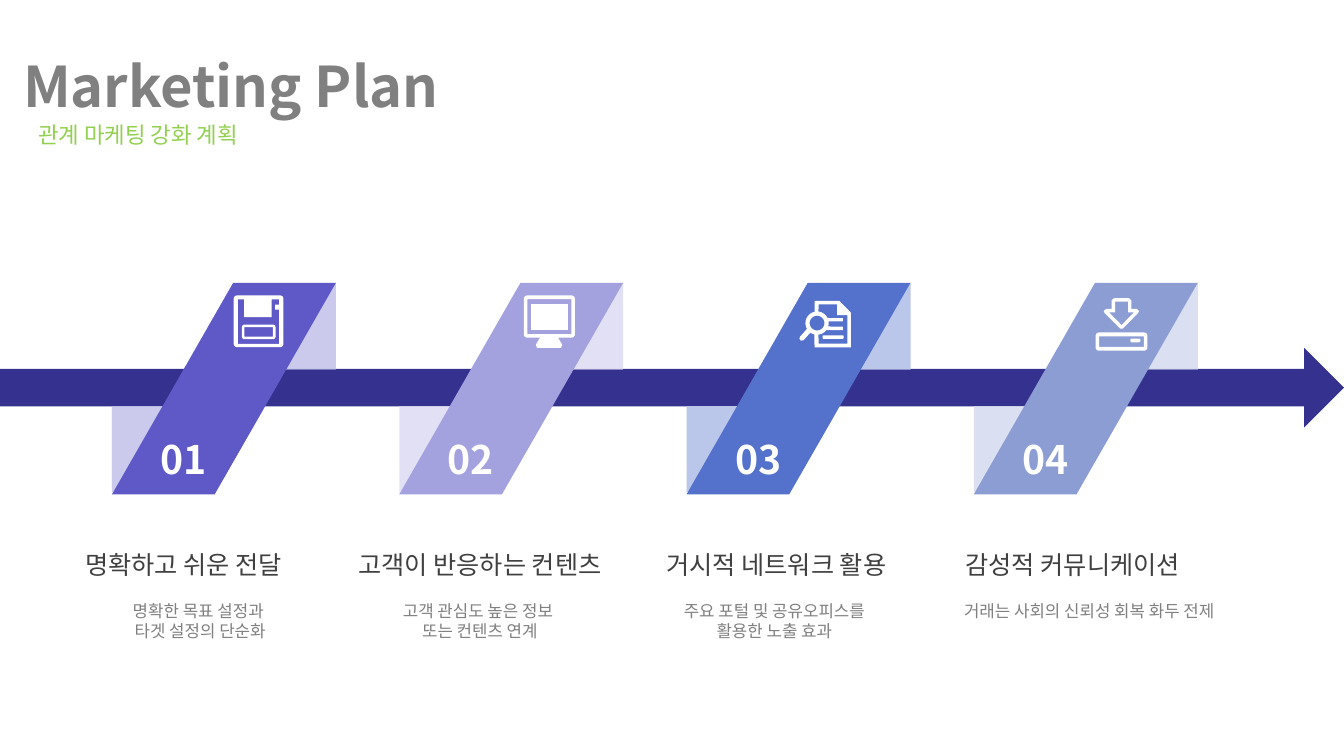
import dataclasses
import math

import lxml.etree
import pptx
import pptx.dml.color
import pptx.enum.shapes
import pptx.enum.text
import pptx.oxml.ns
import pptx.util

Pt = pptx.util.Pt
qn = pptx.oxml.ns.qn
SHAPES = pptx.enum.shapes.MSO_SHAPE


@dataclasses.dataclass(frozen=True)
class Theme:
    font: str = "Noto Sans CJK KR"
    arrow: str = "35318F"
    white: str = "FFFFFF"
    grey: str = "808080"
    dark: str = "404040"
    green: str = "92D050"
    title_size: int = 40
    number_size: int = 28
    heading_size: int = 18
    subtitle_size: int = 16
    body_size: int = 12


THEME = Theme()


@dataclasses.dataclass(frozen=True)
class Box:
    left: float
    top: float
    width: float
    height: float


@dataclasses.dataclass(frozen=True)
class Step:
    number: str
    heading: str
    body: tuple
    body_width: float
    ribbon: str
    fold: str
    fold_opacity: int
    icon: list
    icon_left: float
    icon_top: float


def arc(x, y, radius, start, end, count=8):
    angles = [math.radians(start + (end - start) * i / count) for i in range(count + 1)]
    return [(x + radius * math.cos(a), y + radius * math.sin(a)) for a in angles]


def rounded(x, y, width, height, radius):
    corners = [(x + width - radius, y + height - radius), (x + radius, y + height - radius),
               (x + radius, y + radius), (x + width - radius, y + radius)]
    return [point for i, corner in enumerate(corners)
            for point in arc(*corner, radius, 90 * i, 90 * i + 90, 4)]


def rectangle(x, y, width, height):
    return [(x, y), (x + width, y), (x + width, y + height), (x, y + height)]


def save_icon():
    inside = [(32.4, 10.1), (32.4, 34.6), (2.9, 34.6), (2.9, 2.9), (7.5, 2.9), (7.5, 15.5),
              (27, 15.5), (27, 2.9), (32.4, 2.9), (32.4, 6.5), (29.5, 6.5), (29.5, 10.1)]
    return [[rounded(0, 0, 35.5, 37, 2.4), inside],
            [rounded(5.8, 20.9, 24, 10.4, 1.8), rectangle(7.6, 22.7, 20.4, 6.8)]]


def monitor_icon():
    stand = [(11.5, 30.2), (8.6, 35.3), (9.4, 37.4), (26.6, 37.4), (27.4, 35.3), (24.5, 30.2)]
    return [[rounded(0, 0, 36.5, 30.2, 2.5), rectangle(2.6, 2.6, 31.3, 25), stand],
            [rectangle(5.2, 6.2, 26, 18.2)]]


def search_icon():
    lens = (12.6, 15.8)
    outside = [(10.8, 33.1), (36.7, 33.1), (36.7, 8.3), (28.6, 0), (10.8, 0),
               *arc(*lens, 8.3, 258, 150), (0.4, 25.6), (0, 27), (1, 28.3), (2.9, 28.1),
               *arc(*lens, 8.3, 125, 103)]
    page = [(13.7, 2.4), (27, 2.4), (27, 10.1), (34.3, 10.1), (34.3, 30.4), (13.7, 30.4),
            *arc(*lens, 8.3, 83, 38), (31, 20.9), (31, 18.3), *arc(*lens, 8.3, 17, -8),
            (31, 14.6), (31, 12.2), *arc(*lens, 8.3, -26, -83)]
    return [[outside, page, arc(*lens, 5.3, 0, 360, 24)],
            [rounded(16.6, 24.5, 15, 2.6, 0.8)]]


def download_icon():
    outside = [(11.5, 1.5), (13, 0), (23.8, 0), (25.6, 1.8), (25.6, 7.7), (29.5, 7.7),
               (31, 9.2), (30.4, 10.6), (19.4, 21.8), (17.6, 21.8), (6.4, 10.6),
               (5.8, 9.2), (7.5, 7.7), (11.5, 7.7)]
    inside = [(27.4, 10.1), (18.5, 19.2), (9.6, 10.1), (13.9, 10.1), (13.9, 2.5),
              (23.2, 2.5), (23.2, 10.1)]
    return [[outside, inside],
            [rounded(0, 24.5, 37, 13, 2.4), rectangle(2.5, 27.2, 32, 7.6)],
            [rounded(24.8, 28.8, 7.2, 2.7, 1.1)]]


STEPS = [
    Step("01", "명확하고 쉬운 전달", ("명확한 목표 설정과 ", "타겟 설정의 단순화"), 219.6,
         "5F59C7", "BFBDE9", 80, save_icon(), 87, 9),
    Step("02", "고객이 반응하는 컨텐츠", ("고객 관심도 높은 정보 ", "또는 컨텐츠 연계"), 195.8,
         "A4A1DF", "DBD9F2", 80, monitor_icon(), 89, 9),
    Step("03", "거시적 네트워크 활용", ("주요 포털 및 공유오피스를 ", "활용한 노출 효과 "), 195.8,
         "5471CC", "BBC6EB", 100, search_icon(), 80.6, 13),
    Step("04", "감성적 커뮤니케이션", ("거래는 사회의 신뢰성 회복 화두 전제",), 219.6,
         "8C9DD4", "D1D8EE", 80, download_icon(), 87, 11),
]


def lengths(box):
    return Pt(box.left), Pt(box.top), Pt(box.width), Pt(box.height)


def paint(shape, color, opacity=100):
    shape.shadow.inherit = False
    shape.fill.solid()
    shape.fill.fore_color.rgb = pptx.dml.color.RGBColor.from_string(color)
    shape.line.fill.background()
    if opacity < 100:
        fill_color = shape.fill._xPr.find(qn("a:solidFill"))[0]
        lxml.etree.SubElement(fill_color, qn("a:alpha"), val=str(opacity * 1000))


def add_preset(slide, kind, box, color, opacity=100):
    shape = slide.shapes.add_shape(kind, *lengths(box))
    paint(shape, color, opacity)
    return shape


def write(shape, *lines, size, color, bold=False, middle=False):
    frame = shape.text_frame
    frame.word_wrap = True
    frame.auto_size = pptx.enum.text.MSO_AUTO_SIZE.NONE
    anchor = pptx.enum.text.MSO_ANCHOR
    frame.vertical_anchor = anchor.MIDDLE if middle else anchor.TOP
    for index, line in enumerate(lines):
        paragraph = frame.add_paragraph() if index else frame.paragraphs[0]
        paragraph.alignment = pptx.enum.text.PP_ALIGN.CENTER
        run = paragraph.add_run()
        run.text = line
        run.font.size = Pt(size)
        run.font.bold = bold
        run.font.color.rgb = pptx.dml.color.RGBColor.from_string(color)
        run.font.name = THEME.font
        lxml.etree.SubElement(run.font._element, qn("a:ea"), typeface=THEME.font)


def add_text(slide, box, *lines, **text_format):
    write(slide.shapes.add_textbox(*lengths(box)), *lines, **text_format)


def add_icon(slide, left, top, outlines):
    for contours in outlines:
        points = [[(Pt(x), Pt(y)) for x, y in contour] for contour in contours]
        builder = slide.shapes.build_freeform(*points[0][0])
        builder.add_line_segments(points[0][1:])
        for contour in points[1:]:
            builder.move_to(*contour[0])
            builder.add_line_segments(contour[1:])
        paint(builder.convert_to_shape(Pt(left), Pt(top)), THEME.white)


def add_header(slide, box):
    title = slide.shapes.title
    title.left, title.top, title.width, title.height = lengths(
        Box(box.left, box.top, box.width, 72))
    write(title, "Marketing Plan", size=THEME.title_size, color=THEME.grey, bold=True, middle=True)
    add_text(slide, Box(box.left + 9.4, box.top + 58.3, 178.6, 29.5), "관계 마케팅 강화 계획",
             size=THEME.subtitle_size, color=THEME.green)


def add_timeline(slide, box):
    arrow = add_preset(slide, SHAPES.RIGHT_ARROW, box, THEME.arrow)
    arrow.adjustments[0] = 0.47
    arrow.adjustments[1] = 0.5


def add_ribbon(slide, box, step):
    side = 62
    folds = [(box.left + box.width - side, box.top, 270), (box.left, box.top + 88, 90)]
    for left, top, rotation in folds:
        fold = add_preset(slide, SHAPES.RIGHT_TRIANGLE, Box(left, top, side, side),
                          step.fold, step.fold_opacity)
        fold.rotation = rotation
    ribbon = add_preset(slide, SHAPES.PARALLELOGRAM, box, step.ribbon)
    ribbon.adjustments[0] = 0.573
    add_text(slide, Box(box.left + 17, box.top + 105.5, 68.4, 41), step.number,
             size=THEME.number_size, color=THEME.white, bold=True)
    add_icon(slide, box.left + step.icon_left, box.top + step.icon_top, step.icon)


def add_caption(slide, box, step):
    add_text(slide, Box(box.left, box.top, box.width, 28.8), step.heading,
             size=THEME.heading_size, color=THEME.dark)
    add_text(slide, Box(box.left + 23.8, box.top + 36.7, step.body_width, box.height - 36.7),
             *step.body, size=THEME.body_size, color=THEME.grey)


def main():
    presentation = pptx.Presentation()
    presentation.slide_width, presentation.slide_height = Pt(960), Pt(540)
    slide = presentation.slides.add_slide(presentation.slide_layouts[5])
    add_header(slide, Box(0, 24.5, 330, 87.8))
    add_timeline(slide, Box(0, 248.4, 960, 56.9))
    for index, step in enumerate(STEPS):
        add_ribbon(slide, Box(80 + 205.2 * index, 202, 160, 151.2), step)
        add_caption(slide, Box(9.4 + 211.7 * index, 388.8, 243.4, 72.7), step)
    presentation.save("out.pptx")


if __name__ == "__main__":
    main()
